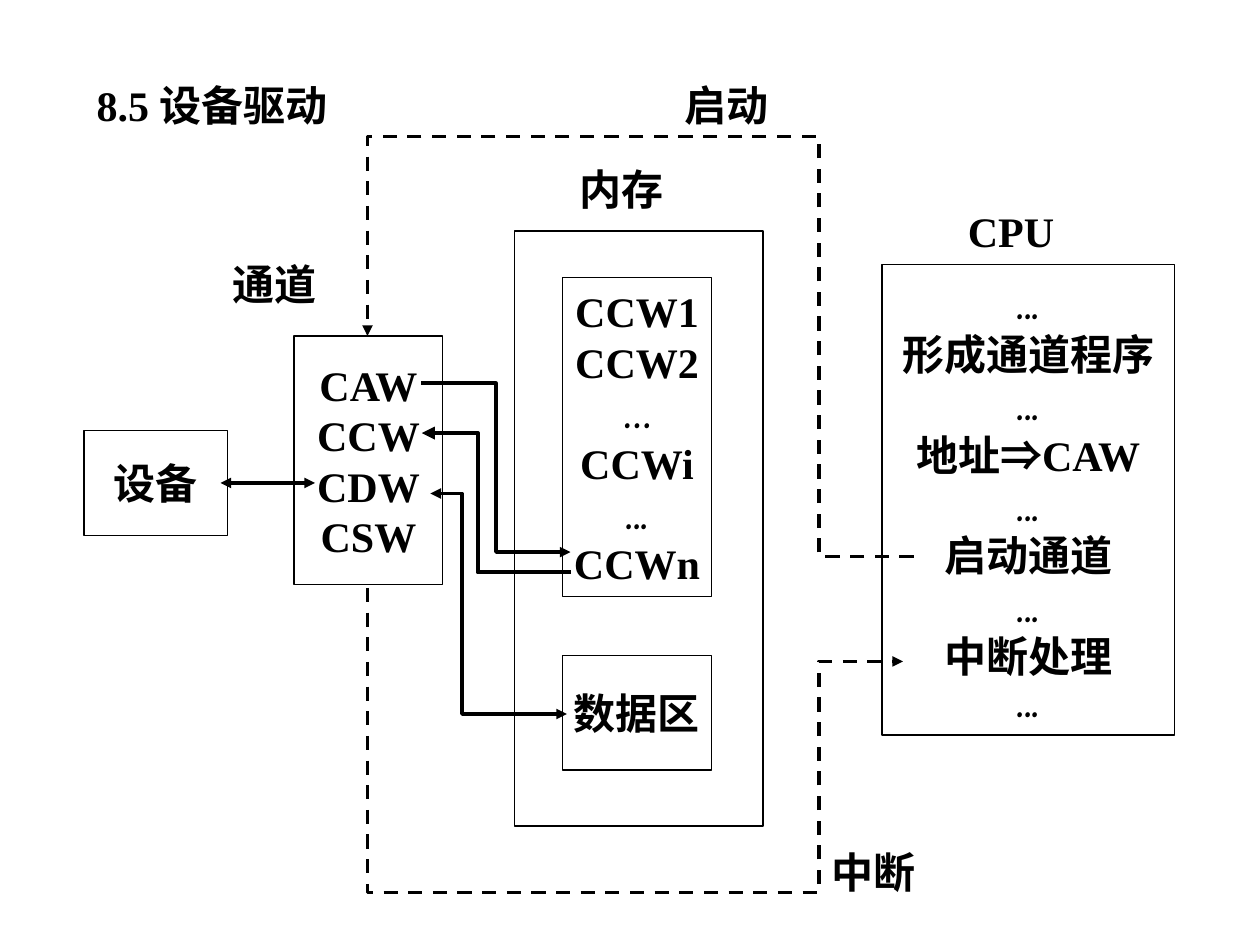
"""Build the slide on device driving: device, channel, memory and CPU."""
import pptx
import pptx.dml.color
import pptx.enum.dml
import pptx.enum.shapes
import pptx.enum.text
import pptx.oxml.ns
import pptx.util
from lxml import etree

Pt = pptx.util.Pt
rgb = pptx.dml.color.RGBColor.from_string
ALIGN = pptx.enum.text.PP_ALIGN
ANCHOR = pptx.enum.text.MSO_ANCHOR
qn = pptx.oxml.ns.qn
FONTS = {"...": "Comic Neue", "…": "Comic Neue", "⇒": "Arial"}


def write(tf, text, align=ALIGN.LEFT, anchor=ANCHOR.TOP, wrap=True, size=24, color="000000"):
    tf.auto_size = pptx.enum.text.MSO_AUTO_SIZE.NONE
    tf.word_wrap = wrap
    tf.vertical_anchor = anchor
    for i, line in enumerate(text.split("\n")):
        p = tf.paragraphs[0] if i == 0 else tf.add_paragraph()
        p.alignment = align
        for part in line.split("|"):
            r = p.add_run()
            r.text = part
            r.font.name = FONTS.get(part, "Times New Roman")
            r.font.size = Pt(size)
            r.font.bold = True
            r.font.color.rgb = rgb(color)


def outline(sp, width, color="000000", dash=False, ends=()):
    sp.line.color.rgb = rgb(color)
    sp.line.width = Pt(width)
    if dash:
        sp.line.dash_style = pptx.enum.dml.MSO_LINE.DASH
    ln = sp._element.spPr.find(qn("a:ln"))
    for end in ends:
        etree.SubElement(ln, qn(f"a:{end}"), type="triangle")
    etree.SubElement(sp._element.spPr, qn("a:effectLst"))


prs = pptx.Presentation()
prs.slide_width, prs.slide_height = Pt(720), Pt(540)
s = prs.slides.add_slide(prs.slide_layouts[5])

title = s.shapes.title
title.left, title.top, title.width, title.height = Pt(48), Pt(42), Pt(630), Pt(36)
write(title.text_frame, "8.5 设备驱动")

boxes = {
    "device": (48, 246, 82, 60, "设备"),
    "channel": (168, 192, 85, 142, "CAW\nCCW\nCDW\nCSW"),
    "memory": (294, 132, 142, 340, ""),
    "program": (321.5, 158.5, 85, 182.5, "CCW1\nCCW2\n…\nCCWi\n...\nCCWn"),
    "data": (321.5, 374.5, 85, 65.5, "数据区"),
    "cpu": (504, 151, 167, 269,
            "...\n形成通道程序\n...\n地址|⇒|CAW\n...\n启动通道\n...\n中断处理\n..."),
}
frames = {}
for name, (x, y, w, h, text) in boxes.items():
    sp = s.shapes.add_shape(pptx.enum.shapes.MSO_SHAPE.RECTANGLE, Pt(x), Pt(y), Pt(w), Pt(h))
    sp.fill.solid()
    sp.fill.fore_color.rgb = rgb("FFFFFF")
    outline(sp, 0.75)
    if text:
        write(sp.text_frame, text, align=ALIGN.CENTER, anchor=ANCHOR.MIDDLE, wrap=False)
    frames[name] = sp.text_frame
frames["cpu"].paragraphs[0].line_spacing = 1.1
frames["cpu"].paragraphs[-1].line_spacing = 0.9

link = s.shapes.add_connector(pptx.enum.shapes.MSO_CONNECTOR.STRAIGHT,
                              Pt(126), Pt(276), Pt(180), Pt(276))
outline(link, 2, ends=("headEnd", "tailEnd"))

routes = [
    ([(326, 315.5), (283.5, 315.5), (283.5, 219), (240.5, 219)], 2, False, ["headEnd"]),
    ([(246, 282), (264, 282), (264, 408), (324, 408)], 2, False, ["headEnd", "tailEnd"]),
    ([(522, 318), (468, 318), (468, 78), (210, 78), (210, 192)], 2, True, ["tailEnd"]),
    ([(210, 336), (210, 510), (468, 510), (468, 378), (516, 378)], 2, True, ["tailEnd"]),
    ([(326, 327), (273, 327), (273, 247.5), (241, 247.5)], 2.5, False, ["tailEnd"]),
]
for points, width, dash, ends in routes:
    points = [(Pt(x), Pt(y)) for x, y in points]
    fb = s.shapes.build_freeform(*points[0])
    fb.add_line_segments(points[1:], close=False)
    sp = fb.convert_to_shape()
    sp.fill.background()
    outline(sp, width, dash=dash, ends=ends)

labels = [
    (384, 42, 78, "启动"),
    (468, 480, 78, "中断"),
    (324, 90, 66, "内存"),
    (546, 114, 78, "CPU"),
    (126, 144, 72, "通道"),
]
for x, y, w, text in labels:
    write(s.shapes.add_textbox(Pt(x), Pt(y), Pt(w), Pt(36)).text_frame, text)

prs.save("out.pptx")
